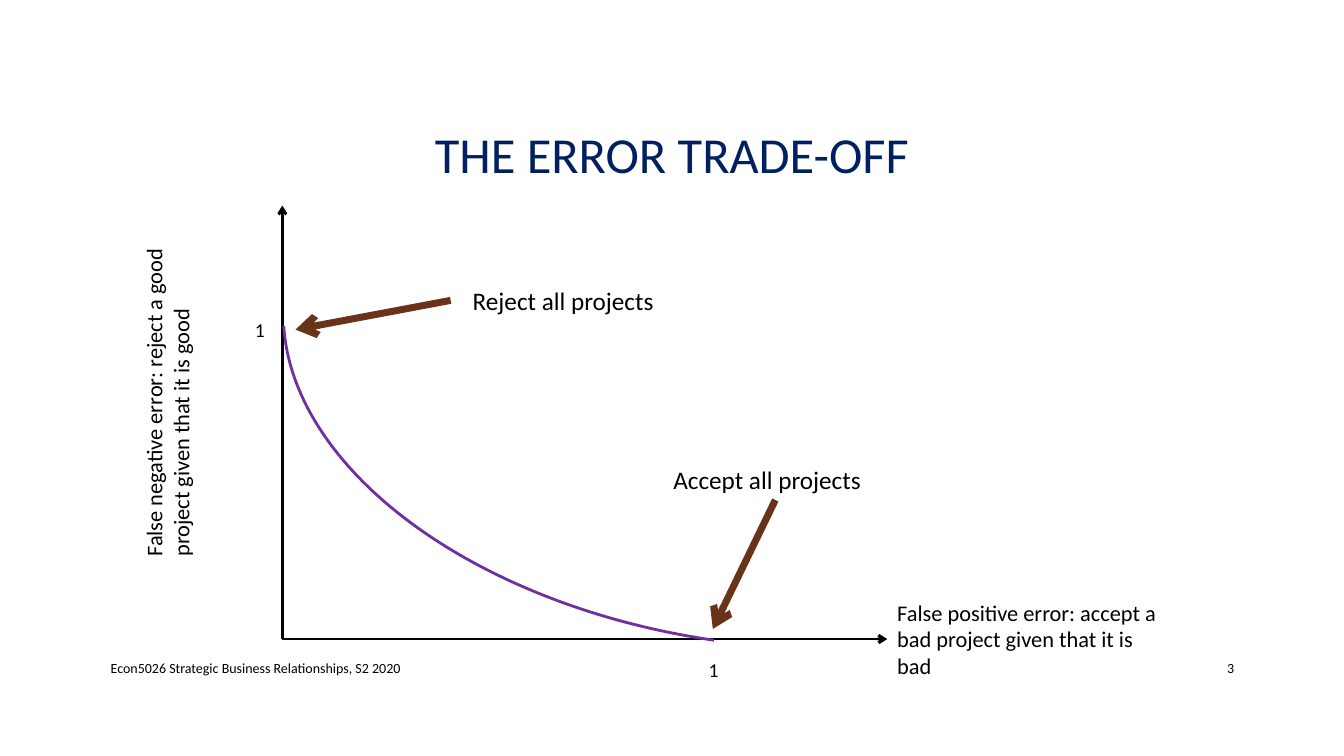
from pptx import Presentation
from pptx.dml.color import RGBColor
from pptx.enum.shapes import MSO_CONNECTOR, MSO_SHAPE
from pptx.enum.text import MSO_ANCHOR, MSO_AUTO_SIZE, PP_ALIGN
from pptx.oxml.ns import qn
from pptx.util import Pt
from lxml.etree import SubElement

EMU_PER_PX = 9144  # 100 px to the inch
BLACK, NAVY, PURPLE, BROWN = "000000", "002060", "7030A0", "683319"
BOTTOM, LEFT = 2, 1  # connection sites of a rectangle


def px(length):
    return round(length * EMU_PER_PX)


def colour(value):
    return RGBColor.from_string(value)


def write_text(shape, text, size=16, fill=BLACK, align=PP_ALIGN.LEFT,
               anchor=MSO_ANCHOR.TOP, spacing=None, vertical=None):
    frame = shape.text_frame
    frame.word_wrap = True
    frame.auto_size = MSO_AUTO_SIZE.NONE
    frame.vertical_anchor = anchor
    if vertical:
        frame._txBody.bodyPr.set("vert", vertical)
    paragraph = frame.paragraphs[0]
    paragraph.text = text
    paragraph.alignment = align
    if spacing:
        paragraph.line_spacing = spacing
    paragraph.font.name = "Calibri"
    paragraph.font.size = Pt(size)
    paragraph.font.color.rgb = colour(fill)


def add_label(slide, box, text, **text_format):
    label = slide.shapes.add_textbox(*map(px, box))
    write_text(label, text, **text_format)
    return label


def add_arrow(slide, start, end, fill, width, start_at=None, end_at=None):
    arrow = slide.shapes.add_connector(
        MSO_CONNECTOR.STRAIGHT, *map(px, start + end))
    if start_at:
        arrow.begin_connect(*start_at)
    if end_at:
        arrow.end_connect(*end_at)
    arrow.line.color.rgb = colour(fill)
    arrow.line.width = Pt(width)
    SubElement(arrow.line._get_or_add_ln(), qn("a:tailEnd"), type="arrow")
    SubElement(arrow._element.spPr, qn("a:effectLst"))


def add_title(slide, box):
    title = slide.shapes.title
    title.left, title.top, title.width, title.height = map(px, box)
    write_text(title, "THE ERROR TRADE-OFF", size=36, fill=NAVY,
               align=PP_ALIGN.CENTER, anchor=MSO_ANCHOR.MIDDLE, spacing=0.9)


def add_footer(slide, box):
    left, top, width, height = box
    number_width = 84
    add_label(slide, (left, top, 730, height),
              "Econ5026 Strategic Business Relationships, S2 2020",
              size=10, anchor=MSO_ANCHOR.MIDDLE)
    add_label(slide, (left + width - number_width, top, number_width, height),
              "3", size=10, align=PP_ALIGN.RIGHT, anchor=MSO_ANCHOR.MIDDLE)


def add_axes(slide, box):
    left, top, width, height = box
    right, bottom = left + width, top + height
    origin = (left, bottom)

    # Axis names
    add_label(slide, (left - 146, top + 11, 74, 347),
              "False negative error: reject a good project given that it is good",
              vertical="vert270")
    positive = add_label(
        slide, (right, bottom - 45, 278, 90),
        "False positive error: accept a bad project given that it is bad")

    # Axis lines
    add_arrow(slide, origin, (left, top), BLACK, 2)
    add_arrow(slide, origin, (right, bottom), BLACK, 2,
              end_at=(positive, LEFT))

    # Unit marks
    for mark_left, mark_top in ((left - 37, top + 106), (left + 413, bottom + 14)):
        add_label(slide, (mark_left, mark_top, 28, 34), "1", size=14)


def add_trade_off_curve(slide, box):
    left, top, width, height = box
    curve = slide.shapes.add_shape(
        MSO_SHAPE.ARC, px(left - 2), px(top - 132), px(941), px(566))
    curve.adjustments[0] = 162  # 270 degrees
    curve.adjustments[1] = 213.41  # about 356 degrees
    curve.rotation = 188.2
    curve.shadow.inherit = False
    curve.fill.background()
    curve.line.color.rgb = colour(PURPLE)
    curve.line.width = Pt(2)


def add_end_points(slide, box):
    left, top, width, height = box
    bottom = top + height
    accept = add_label(slide, (left + 378, bottom - 178, 222, 40),
                       "Accept all projects", size=18)
    add_arrow(slide, (left + 489, bottom - 138), (left + 427, bottom - 10),
              BROWN, 5, start_at=(accept, BOTTOM))
    add_label(slide, (left + 179, top + 74, 222, 40),
              "Reject all projects", size=18)
    add_arrow(slide, (left + 167, top + 94), (left + 13, top + 123), BROWN, 5)


def main():
    presentation = Presentation()
    presentation.slide_width, presentation.slide_height = px(1333), px(750)
    slide = presentation.slides.add_slide(presentation.slide_layouts[5])
    plot = (280, 204, 600, 430)
    add_title(slide, (100, 68, 1133, 175))
    add_footer(slide, (100, 643, 1134, 40))
    add_axes(slide, plot)
    add_trade_off_curve(slide, plot)
    add_end_points(slide, plot)
    presentation.save("out.pptx")


if __name__ == "__main__":
    main()
